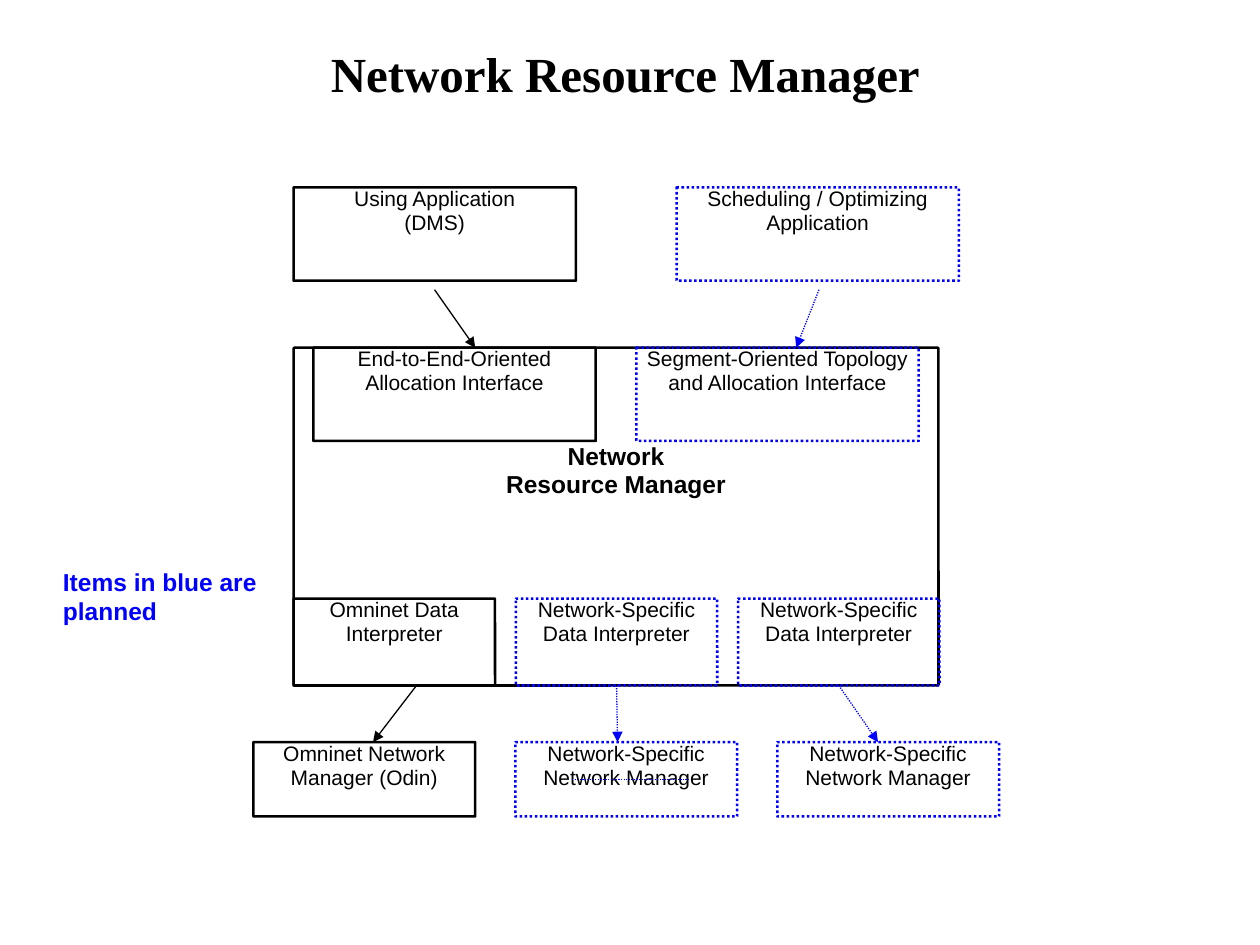
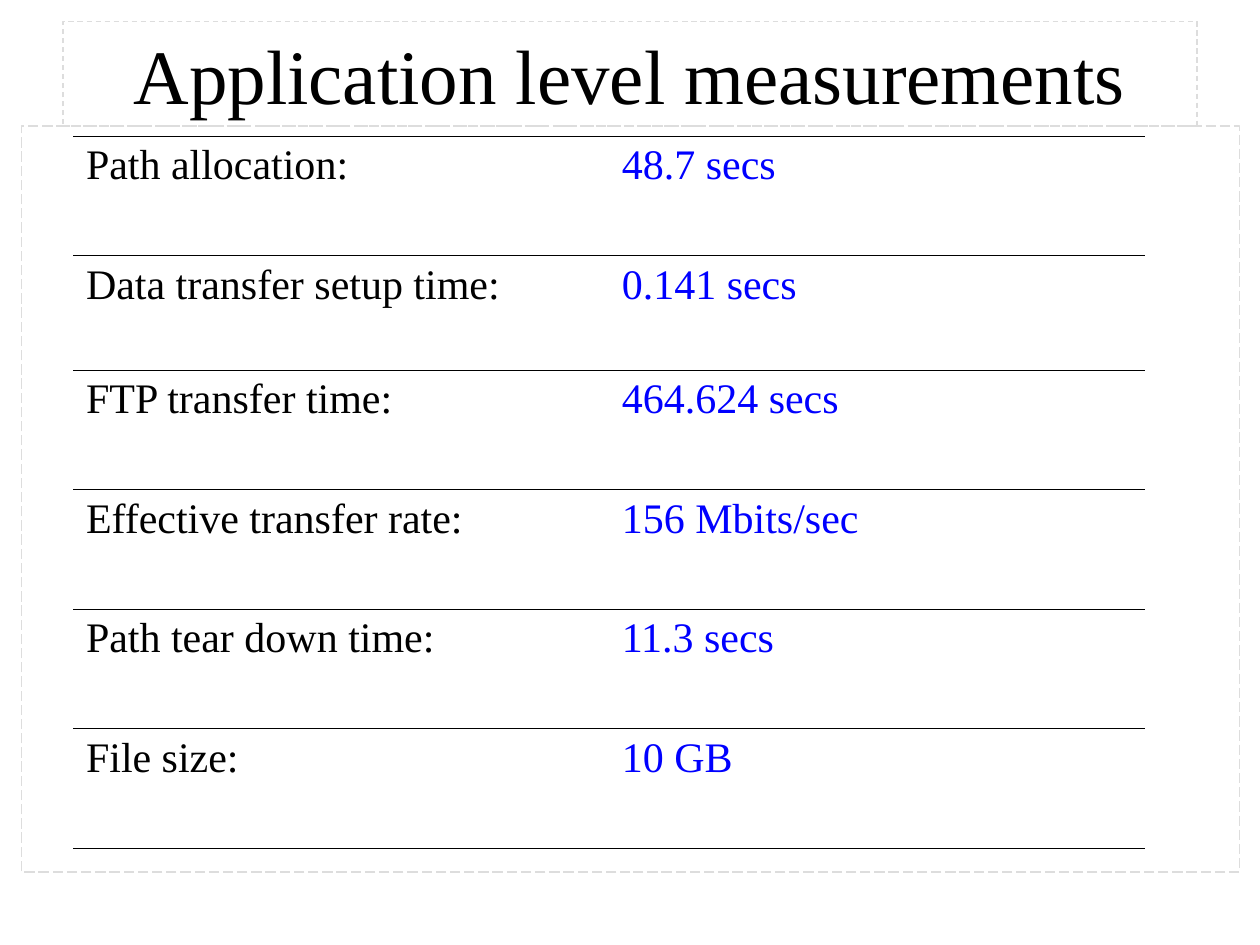
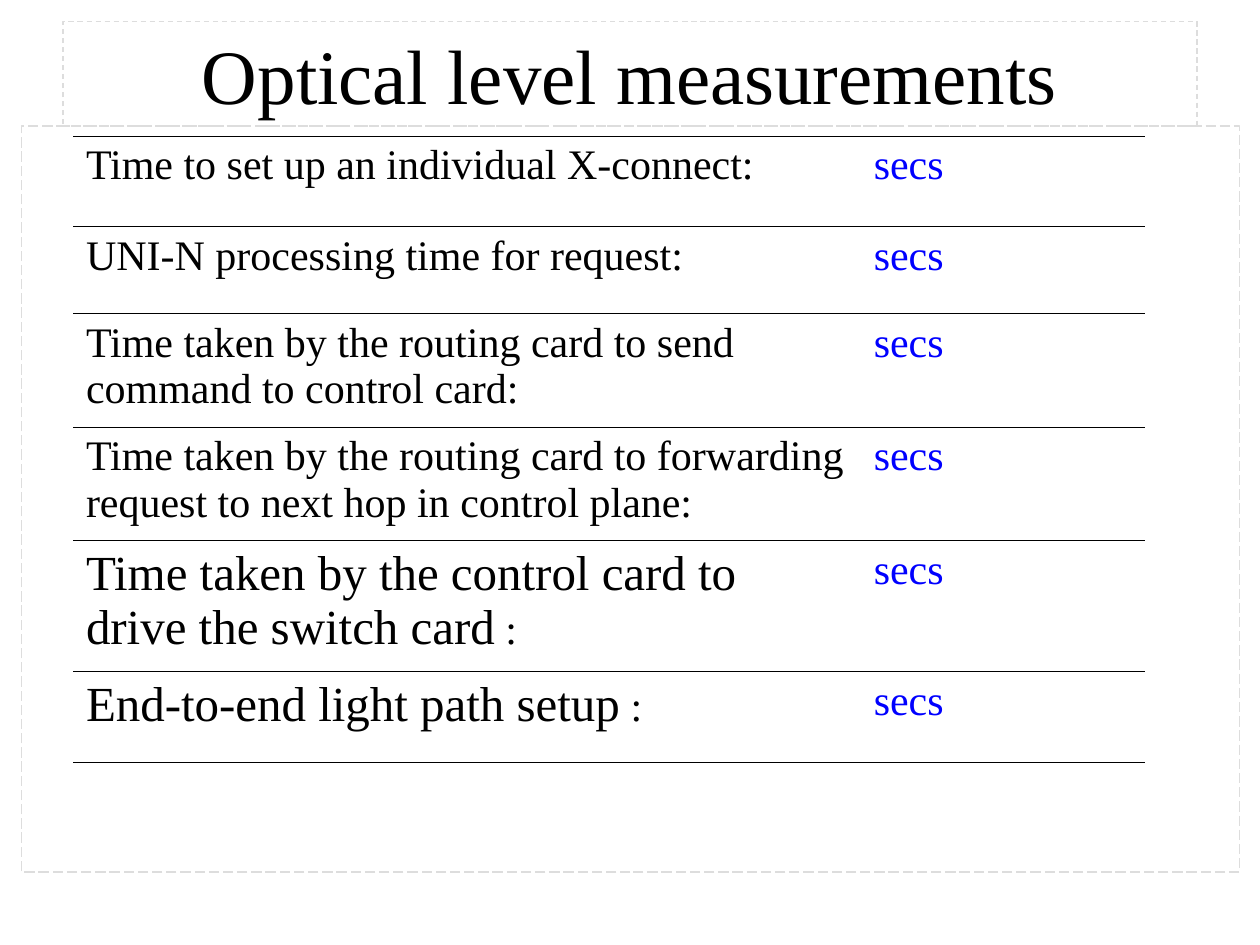
from collections import namedtuple
from itertools import accumulate

from lxml.etree import SubElement
from pptx import Presentation
from pptx.dml.color import RGBColor
from pptx.enum.dml import MSO_LINE
from pptx.enum.shapes import MSO_CONNECTOR, MSO_SHAPE
from pptx.enum.text import MSO_ANCHOR, PP_ALIGN
from pptx.oxml import parse_xml
from pptx.oxml.ns import nsdecls, qn
from pptx.util import Cm, Pt

BLACK = RGBColor(0x00, 0x00, 0x00)
BLUE = RGBColor(0x00, 0x00, 0xFF)
FRAME_GRAY = RGBColor(0xDD, 0xDD, 0xDD)
SERIF = "Times New Roman"
SANS = "Arial"
BOX_LINE = 1.45
THIN_LINE = 0.75
RULE_EMU = 5715


class Box(namedtuple("Box", "left top width height")):
    """A rectangle in centimetres."""

    def inner(self, dx, dy, width, height):
        """Return a box offset from this box's top left corner."""
        return Box(self.left + dx, self.top + dy, width, height)

    def lengths(self):
        """Return the four values as slide lengths."""
        return [Cm(value) for value in self]


TITLE = Box(1.19, 0.74, 22.83, 1.45)
DIAGRAM = Box(5.11, 3.78, 15.04, 12.68)
LEGEND = Box(1.27, 11.43, 4.7, 1.19)
TITLE_FRAME = Box(1.27, 0.43, 22.86, 2.11)
BODY_FRAME = Box(0.43, 2.54, 24.56, 15.04)

APPLICATION_TIMES = [
    ([("Path allocation:", 24)], "48.7 secs", 2.41),
    ([("Data transfer setup time:", 24)], "0.141 secs", 2.31),
    ([("FTP transfer time:", 24)], "464.624 secs", 2.41),
    ([("Effective transfer rate:", 24)], "156 Mbits/sec", 2.41),
    ([("Path tear down time:", 24)], "11.3 secs", 2.41),
    ([("File size:", 24)], "10 GB", 2.41),
]
OPTICAL_TIMES = [
    ([("Time to set up an individual X-connect:", 24)], "secs", 1.83),
    ([("UNI-N processing time for request:", 24)], "secs", 1.75),
    ([("Time taken by the routing card to send command to control card:", 24)], "secs", 2.29),
    ([("Time taken by the routing card to forwarding request to next hop in control plane:", 24)],
     "secs", 2.29),
    ([("Time taken by the control card to drive the switch card", 28), (" :", 24)], "secs", 2.64),
    ([("End-to-end light path setup", 28), (" :", 24)], "secs", 1.83),
]


def style_runs(paragraph, size, name, color=BLACK, bold=False):
    """Format every run of a paragraph."""
    for run in paragraph.runs:
        run.font.size = Pt(size)
        run.font.name = name
        run.font.color.rgb = color
        run.font.bold = bold


def write(frame, text, size, name, color=BLACK, bold=False, align=PP_ALIGN.CENTER,
          margins=(0, 0), anchor=MSO_ANCHOR.TOP, spacing=None):
    """Fill a text frame and format all its paragraphs."""
    frame.text = text
    frame.word_wrap = True
    frame.vertical_anchor = anchor
    frame.margin_left = frame.margin_right = Cm(margins[0])
    frame.margin_top = frame.margin_bottom = Cm(margins[1])
    for paragraph in frame.paragraphs:
        paragraph.alignment = align
        paragraph.line_spacing = spacing
        style_runs(paragraph, size, name, color, bold)


def add_outline(slide, box, color, width, dash=None, preset=MSO_SHAPE.RECTANGLE):
    """Add an unfilled shape with a coloured outline."""
    outline = slide.shapes.add_shape(preset, *box.lengths())
    outline.shadow.inherit = False
    outline.fill.background()
    outline.line.color.rgb = color
    outline.line.width = Pt(width)
    outline.line.dash_style = dash
    return outline


def add_label(slide, box, text, size, **style):
    """Add a free-standing bold sans-serif label."""
    label = slide.shapes.add_textbox(*box.lengths())
    write(label.text_frame, text, size, SANS, bold=True, **style)


def add_component(slide, box, text="", planned=False):
    """Add a diagram box, dotted blue when it is planned."""
    component = add_outline(slide, box, BLUE if planned else BLACK, BOX_LINE,
                            MSO_LINE.ROUND_DOT if planned else None, MSO_SHAPE.ROUNDED_RECTANGLE)
    component.adjustments[0] = 0.003
    write(component.text_frame, text, 12, SANS, spacing=0.95)
    return component


def add_link(slide, box, start, end, planned=False, arrow=True):
    """Draw a line between two points given relative to the box."""
    points = [Cm(origin + offset) for point in (start, end)
              for origin, offset in zip(box[:2], point)]
    link = slide.shapes.add_connector(MSO_CONNECTOR.STRAIGHT, *points)
    link.line.color.rgb = BLUE if planned else BLACK
    link.line.width = Pt(THIN_LINE)
    if planned:
        link.line.dash_style = MSO_LINE.ROUND_DOT
    if arrow:
        SubElement(link.line._get_or_add_ln(), qn("a:tailEnd"), type="triangle")
    SubElement(link._element.spPr, qn("a:effectLst"))
    return link


def add_manager_diagram(slide, box):
    """Draw the applications, the resource manager and the networks below it."""
    add_component(slide, box.inner(0.81, 3.23, 13, 6.81))
    add_label(slide, box.inner(0.81, 5.16, 13, 1.14), "Network\nResource Manager", 14, spacing=0.95)

    uppers = [
        (0.81, 0, "Using Application\n(DMS)", False),
        (8.53, 0, "Scheduling / Optimizing Application", True),
        (1.21, 3.23, "End-to-End-Oriented Allocation Interface", False),
        (7.72, 3.23, "Segment-Oriented Topology and Allocation Interface", True),
    ]
    for left, top, text, planned in uppers:
        add_component(slide, box.inner(left, top, 5.69, 1.88), text, planned)
    for start, end, planned in [(3.65, 4.47, False), (11.4, 10.94, True)]:
        add_link(slide, box, (start, 2.06), (end, 3.23), planned)

    networks = [
        ("Omninet Data Interpreter", "Omninet Network Manager (Odin)", 3.27, 2.41),
        ("Network-Specific Data Interpreter", "Network-Specific Network Manager", 7.31, 7.34),
        ("Network-Specific Data Interpreter", "Network-Specific Network Manager", 11.78, 12.59),
    ]
    for column, (interpreter_text, manager_text, start, end) in enumerate(networks):
        planned = column > 0
        interpreter = add_component(slide, box.inner(0.81 + 4.48 * column, 8.29, 4.06, 1.75),
                                    interpreter_text, planned)
        add_component(slide, box.inner(5.28 * column, 11.18, 4.47, 1.5), manager_text, planned)
        link = add_link(slide, box, (start, 10.06), (end, 11.18), planned)
        if planned:
            link.begin_connect(interpreter, 2)
    add_link(slide, box, (6.42, 11.94), (8.78, 11.94), planned=True, arrow=False)


def rule_cell(cell):
    """Give a cell thin rules above and below and no side borders."""
    borders = [f'<a:{side} {nsdecls("a")} w="{RULE_EMU}"><a:noFill/></a:{side}>'
               for side in ("lnL", "lnR")]
    borders += [f'<a:{side} {nsdecls("a")} w="{RULE_EMU}"><a:solidFill>'
                f'<a:srgbClr val="{BLACK}"/></a:solidFill></a:{side}>'
                for side in ("lnT", "lnB")]
    properties = cell._tc.get_or_add_tcPr()
    for position, border in enumerate(borders):
        properties.insert(position, parse_xml(border))


def add_measurements(slide, box, widths, measurements):
    """Place the measurement table inside the body frame."""
    heights = [height for _, _, height in measurements]
    area = box.inner(1.05, 0.2, sum(widths), list(accumulate(heights))[-1])
    table = slide.shapes.add_table(len(measurements), len(widths), *area.lengths()).table
    table.first_row = table.horz_banding = False
    for column, width in zip(table.columns, widths):
        column.width = Cm(width)
    for row, (label_parts, value, height) in zip(table.rows, measurements):
        row.height = Cm(height)
        for cell, parts, color in zip(row.cells, (label_parts, [(value, 24)]), (BLACK, BLUE)):
            cell.fill.background()
            rule_cell(cell)
            paragraph = cell.text_frame.paragraphs[0]
            paragraph.text = parts[0][0]
            for text, _ in parts[1:]:
                paragraph.add_run().text = text
            style_runs(paragraph, 24, SERIF, color)
            for run, (_, size) in zip(paragraph.runs, parts):
                run.font.size = Pt(size)


def build_manager_slide(slide):
    """Build the resource manager slide."""
    title = slide.shapes.add_textbox(*TITLE.lengths())
    write(title.text_frame, "Network Resource Manager", 28, SERIF, bold=True,
          margins=(0.25, 0.13), anchor=MSO_ANCHOR.MIDDLE)
    add_manager_diagram(slide, DIAGRAM)
    add_label(slide, LEGEND, "Items in blue are planned", 14, color=BLUE, align=PP_ALIGN.LEFT)


def build_measurement_slide(slide, title, widths, measurements):
    """Build a slide with a framed title above a framed table."""
    title_frame = add_outline(slide, TITLE_FRAME, FRAME_GRAY, THIN_LINE, MSO_LINE.DASH)
    write(title_frame.text_frame, title, 44, SERIF, margins=(0.25, 0.13),
          anchor=MSO_ANCHOR.MIDDLE)
    add_outline(slide, BODY_FRAME, FRAME_GRAY, THIN_LINE, MSO_LINE.LONG_DASH)
    add_measurements(slide, BODY_FRAME, widths, measurements)


def main():
    """Build and save the presentation."""
    deck = Presentation()
    deck.slide_width, deck.slide_height = Cm(25.4), Cm(19.05)
    blank = deck.slide_layouts[6]
    build_manager_slide(deck.slides.add_slide(blank))
    build_measurement_slide(deck.slides.add_slide(blank), "Application level measurements",
                            (10.8, 10.8), APPLICATION_TIMES)
    build_measurement_slide(deck.slides.add_slide(blank), "Optical level measurements",
                            (15.88, 5.72), OPTICAL_TIMES)
    deck.save("out.pptx")


if __name__ == "__main__":
    main()
